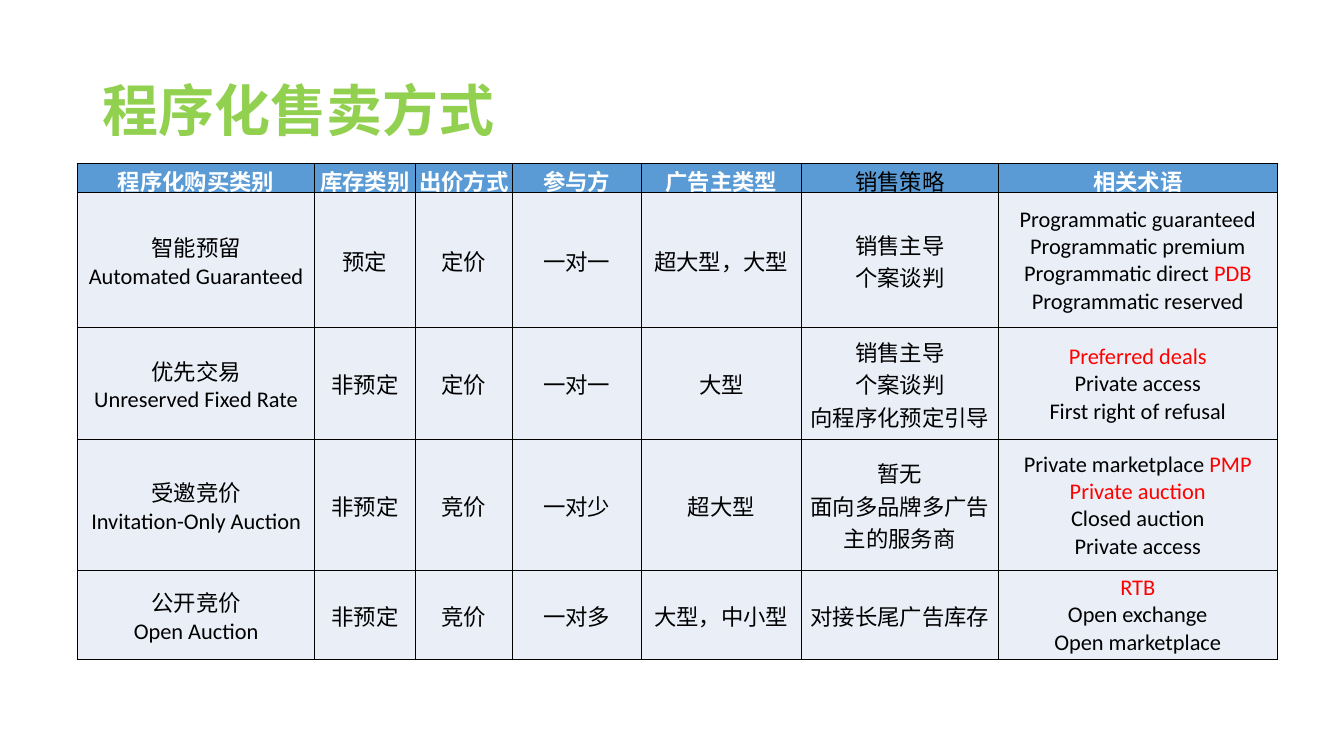
from typing import NamedTuple

from lxml.etree import SubElement
from pptx import Presentation
from pptx.dml.color import RGBColor
from pptx.enum.text import MSO_ANCHOR as Anchor, PP_ALIGN as Align
from pptx.oxml.ns import qn
from pptx.util import Inches, Pt

COLORS = {
    "title": "92D050",
    "header": "5B9BD5",
    "body": "EAEFF7",
    "white": "FFFFFF",
    "black": "000000",
    "red": "FF0000",
}
LATIN, CJK = "Calibri", "Noto Sans CJK SC"


class Column(NamedTuple):
    heading: str
    width: float
    face: str = LATIN


class SalesMode(NamedTuple):
    height: float
    texts: tuple[str, ...]  # one per column; text between bars is red


COLUMNS = [
    Column("程序化购买类别", 2.35),
    Column("库存类别", 1.0),
    Column("出价方式", 0.96),
    Column("参与方", 1.28),
    Column("广告主类型", 1.59),
    Column("销售策略", 1.95, CJK),
    Column("相关术语", 2.77),
]
HEADER_HEIGHT = 0.29
MODES = [
    SalesMode(1.34, (
        "智能预留\nAutomated Guaranteed", "预定", "定价", "一对一", "超大型，大型",
        "销售主导\n个案谈判",
        "Programmatic guaranteed\nProgrammatic premium\n"
        "Programmatic direct |PDB|\nProgrammatic reserved")),
    SalesMode(1.11, (
        "优先交易\nUnreserved Fixed Rate", "非预定", "定价", "一对一", "大型",
        "销售主导\n个案谈判\n向程序化预定引导",
        "|Preferred deals|\nPrivate access\nFirst right of refusal")),
    SalesMode(1.3, (
        "受邀竞价\nInvitation-Only Auction", "非预定", "竞价", "一对少", "超大型",
        "暂无\n面向多品牌多广告主的服务商",
        "Private marketplace |PMP|\n|Private auction|\nClosed auction\nPrivate access")),
    SalesMode(0.88, (
        "公开竞价\nOpen Auction", "非预定", "竞价", "一对多", "大型，中小型",
        "对接长尾广告库存",
        "|RTB|\nOpen exchange\nOpen marketplace")),
]


def rgb(name: str) -> RGBColor:
    return RGBColor.from_string(COLORS[name])


def style_para(para, face: str, size: float, color: str, bold: bool) -> None:
    font = para.font
    font.name, font.size, font.bold = face, Pt(size), bold
    font.color.rgb = rgb(color)
    east_asian = SubElement(para._p.pPr.find(qn("a:defRPr")), qn("a:ea"))
    east_asian.set("typeface", CJK)


def add_spans(para, line: str) -> None:
    for index, text in enumerate(line.split("|")):
        if text:
            span = para.add_run()
            span.text = text
            if index % 2:
                span.font.color.rgb = rgb("red")


def add_borders(cell) -> None:
    props = cell._tc.get_or_add_tcPr()
    for position, side in enumerate(("lnL", "lnR", "lnT", "lnB")):
        line = SubElement(props, qn(f"a:{side}"), w=str(Pt(1)))
        fill = SubElement(line, qn("a:solidFill"))
        SubElement(fill, qn("a:srgbClr"), val=COLORS["black"])
        props.insert(position, line)  # borders come before the fill


def fill_cell(cell, text: str, face: str, fill: str, color: str, bold: bool) -> None:
    cell.fill.solid()
    cell.fill.fore_color.rgb = rgb(fill)
    cell.vertical_anchor = Anchor.MIDDLE
    cell.margin_left = cell.margin_top = cell.margin_right = Inches(0.01)
    cell.margin_bottom = 0
    add_borders(cell)

    # The CJK column holds paragraphs, the others line breaks
    lines = text.split("\n")
    groups = [[line] for line in lines] if face == CJK else [lines]
    frame = cell.text_frame
    for index, group in enumerate(groups):
        para = frame.add_paragraph() if index else frame.paragraphs[0]
        para.alignment = Align.CENTER
        style_para(para, face, 16, color, bold)
        for number, line in enumerate(group):
            if number:
                para.add_line_break()
            add_spans(para, line)


def add_title(page, text: str) -> None:
    box = page.shapes.add_textbox(Inches(0.92), Inches(0.4), Inches(11.5), Inches(1.45))
    frame = box.text_frame
    frame.word_wrap = True
    frame.vertical_anchor = Anchor.MIDDLE
    para = frame.paragraphs[0]
    para.line_spacing = 0.9
    style_para(para, CJK, 40, "title", True)
    add_spans(para, text)


def add_sales_table(page) -> None:
    heights = [HEADER_HEIGHT] + [mode.height for mode in MODES]
    table = page.shapes.add_table(
        len(heights), len(COLUMNS), Inches(0.77), Inches(1.62),
        Inches(sum(column.width for column in COLUMNS)), Inches(sum(heights))).table
    for row, height in zip(table.rows, heights):
        row.height = Inches(height)
    for col, column in enumerate(COLUMNS):
        table.columns[col].width = Inches(column.width)
        plain = column.face == CJK
        fill_cell(table.cell(0, col), column.heading, column.face, "header",
                  "black" if plain else "white", not plain)
        for row, mode in enumerate(MODES, 1):
            fill_cell(table.cell(row, col), mode.texts[col], column.face,
                      "body", "black", False)


def main() -> None:
    deck = Presentation()
    deck.slide_width, deck.slide_height = Inches(13.33), Inches(7.5)
    page = deck.slides.add_slide(deck.slide_layouts[6])
    add_title(page, "程序化售卖方式")
    add_sales_table(page)
    deck.save("out.pptx")


if __name__ == "__main__":
    main()
